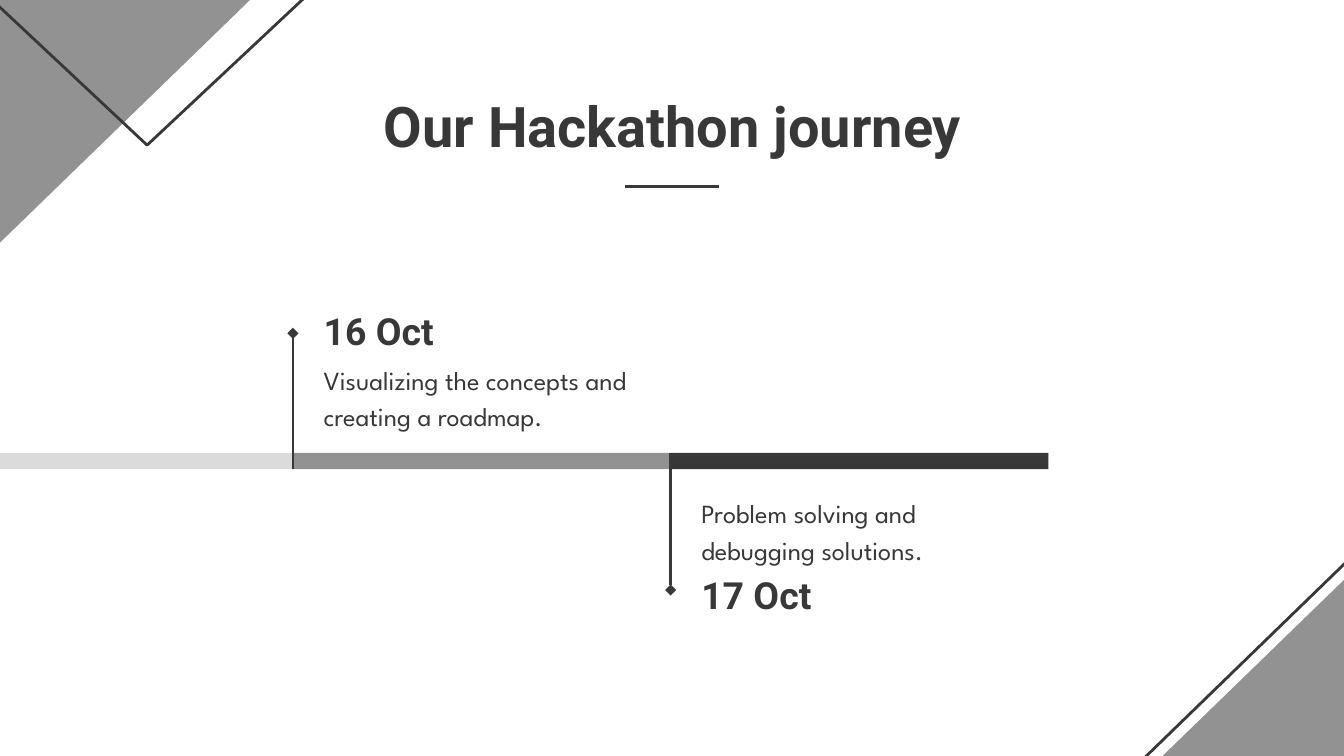
from lxml.etree import SubElement
from pptx import Presentation
from pptx.dml.color import RGBColor
from pptx.enum.shapes import MSO_CONNECTOR as Connector, MSO_SHAPE as Shape
from pptx.enum.text import MSO_ANCHOR as Anchor, MSO_AUTO_SIZE as AutoSize, PP_ALIGN as Align
from pptx.oxml.ns import qn
from pptx.util import Inches, Pt

DARK, GREY, PALE = "383838", "929292", "DBDBDB"
HEADING, BODY = "Roboto", "League Spartan"


def color(value):
    """Turn a hex string into a colour."""
    return RGBColor.from_string(value)


class Timeline:
    """Hold the slide and draw each kind of element in one style."""

    def __init__(self, slide):
        self.slide = slide

    def fill_text(self, holder, text, size, font, bold=False, align=Align.LEFT):
        """Fill a text holder and format its only paragraph."""
        frame = holder.text_frame
        frame.text = text
        frame.word_wrap = True
        frame.auto_size = AutoSize.NONE
        frame.vertical_anchor = Anchor.TOP
        frame.margin_left = frame.margin_right = Inches(0.1)
        frame.margin_top = frame.margin_bottom = Inches(0.1)
        paragraph = frame.paragraphs[0]
        paragraph.alignment = align
        style = paragraph.runs[0].font
        style.name, style.size, style.bold = font, Pt(size), bold
        style.color.rgb = color(DARK)
        return paragraph

    def title(self, text, left, top, width, height):
        """Place and format the slide title."""
        heading = self.slide.shapes.title
        heading.left, heading.top = Inches(left), Inches(top)
        heading.width, heading.height = Inches(width), Inches(height)
        self.fill_text(heading, text, 30, HEADING, True, Align.CENTER)

    def text_box(self, left, top, height):
        """Add an empty text box of the milestone width."""
        return self.slide.shapes.add_textbox(
            Inches(left), Inches(top), Inches(2.54), Inches(height))

    def milestone(self, left, date, date_top, summary, summary_top):
        """Add a date and its summary."""
        self.fill_text(self.text_box(left, date_top, 0.48), date, 20, HEADING, True)
        paragraph = self.fill_text(
            self.text_box(left, summary_top, 0.53), summary, 14, BODY)
        paragraph.line_spacing = 1.15
        paragraph.space_after = Pt(16)

    def block(self, kind, left, top, width, height, fill=None, rotation=0):
        """Add a mirrored shape, filled or outlined."""
        shape = self.slide.shapes.add_shape(
            kind, Inches(left), Inches(top), Inches(width), Inches(height))
        shape.shadow.inherit = False
        shape.rotation = rotation
        shape.element.spPr.find(qn("a:xfrm")).set("flipH", "1")
        if fill:
            shape.fill.solid()
            shape.fill.fore_color.rgb = color(fill)
            shape.line.fill.background()
        else:
            shape.fill.background()
            shape.line.color.rgb = color(DARK)
            shape.line.width = Pt(1.5)

    def line(self, x1, y1, x2, y2, end=None):
        """Add a line, with a diamond at the named end if any."""
        connector = self.slide.shapes.add_connector(
            Connector.STRAIGHT, Inches(x1), Inches(y1), Inches(x2), Inches(y2))
        connector.line.color.rgb = color(DARK)
        connector.line.width = Pt(1.5)
        properties = connector.element.spPr
        if end:
            SubElement(properties.find(qn("a:ln")), qn(f"a:{end}"), type="diamond")
        SubElement(properties, qn("a:effectLst"))


def main():
    """Build the hackathon timeline slide."""
    deck = Presentation()
    deck.slide_width, deck.slide_height = Inches(10), Inches(5.625)
    journey = Timeline(deck.slides.add_slide(deck.slide_layouts[5]))

    journey.block(Shape.RIGHT_TRIANGLE, 7.68, 2.84, 3.72, 3.61)
    journey.block(Shape.RIGHT_TRIANGLE, 7.8, 2.84, 3.72, 3.61, GREY)
    journey.block(Shape.RIGHT_TRIANGLE, -0.83, -1, 3.72, 3.61, GREY, 180)
    journey.block(Shape.ISOSCELES_TRIANGLE, -1.84, -1.67, 5.87, 2.75, rotation=180)

    journey.title("Our Hackathon journey", 0.98, 0.58, 8.05, 0.58)
    journey.line(4.65, 1.39, 5.35, 1.39)

    bar_top, bar_height, bar_width = 3.37, 0.12, 2.81
    first_day, second_day = 2.18, 4.99
    for step, shade in enumerate((PALE, GREY, DARK), -1):
        journey.block(Shape.RECTANGLE, first_day + step * bar_width, bar_top,
                      bar_width, bar_height, shade)

    journey.milestone(first_day + 0.13, "16 Oct", 2.19,
                      "Visualizing the concepts and creating a roadmap.", 2.58)
    journey.milestone(second_day + 0.13, "17 Oct", 4.16,
                      "Problem solving and debugging solutions.", 3.57)
    journey.line(first_day, bar_top + bar_height, first_day, 2.48, "tailEnd")
    journey.line(second_day, 4.39, second_day, bar_top, "headEnd")

    deck.save("out.pptx")


if __name__ == "__main__":
    main()
